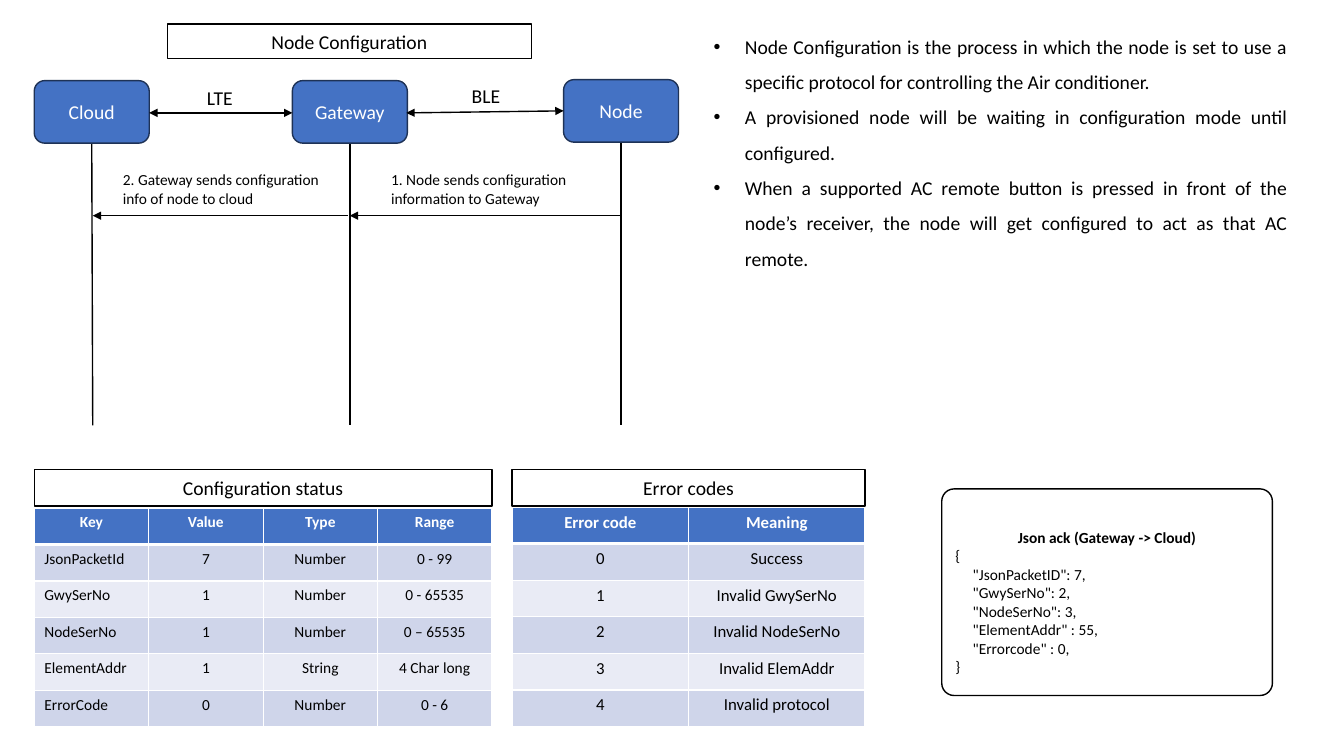
import pptx
import pptx.dml.color
import pptx.enum.shapes
import pptx.enum.text
import pptx.oxml
import pptx.oxml.ns
import pptx.util
from lxml import etree

ALIGN = pptx.enum.text.PP_ALIGN
SHAPE = pptx.enum.shapes.MSO_SHAPE
BLUE, NAVY, BLACK, WHITE = "4472C4", "1E3256", "000000", "FFFFFF"
BANDS = ["CFD5EA", "E9EBF5"]


def px(length):
    return pptx.util.Emu(length * 9144)


def rgb(value):
    return pptx.dml.color.RGBColor.from_string(value)


def add_xml(parent, tag, **attributes):
    return etree.SubElement(parent, pptx.oxml.ns.qn(tag), attributes)


class SlideBuilder:
    """Draws the slide's elements in one shared style."""

    font = "Calibri"

    def __init__(self, slide):
        self.slide = slide

    def style(self, paragraph, size, color=BLACK, align=ALIGN.LEFT, bold=False):
        paragraph.alignment = align
        paragraph.font.name = self.font
        paragraph.font.size = pptx.util.Pt(size)
        paragraph.font.bold = bold
        paragraph.font.color.rgb = rgb(color)

    def fill_text(self, frame, lines, size, bullets=False, **look):
        frame.word_wrap = True
        for index, line in enumerate(lines):
            paragraph = frame.paragraphs[0] if index == 0 else frame.add_paragraph()
            paragraph.text = line
            if bullets:
                paragraph.line_spacing = 1.5
                properties = paragraph._p.get_or_add_pPr()
                properties.set("marL", str(px(31)))
                properties.set("indent", str(px(-31)))
                add_xml(properties, "a:buFont", typeface="Arial")
                add_xml(properties, "a:buChar", char="•")
            self.style(paragraph, size, **look)

    def text(self, left, top, width, height, lines, size, **look):
        box = self.slide.shapes.add_textbox(px(left), px(top), px(width), px(height))
        self.fill_text(box.text_frame, lines, size, **look)

    def box(self, left, top, width, height, lines, size=14, kind=SHAPE.RECTANGLE,
            fill=WHITE, line=BLACK, align=ALIGN.CENTER, **look):
        box = self.slide.shapes.add_shape(kind, px(left), px(top), px(width), px(height))
        box.shadow.inherit = False
        box.fill.solid()
        box.fill.fore_color.rgb = rgb(fill)
        box.line.color.rgb = rgb(line)
        box.line.width = pptx.util.Pt(1)
        self.fill_text(box.text_frame, lines, size, align=align, **look)
        return box

    def line(self, start, end, head=False, tail=False):
        connector = self.slide.shapes.add_connector(
            pptx.enum.shapes.MSO_CONNECTOR.STRAIGHT, *map(px, start + end))
        connector.line.color.rgb = rgb(BLACK)
        connector.line.width = pptx.util.Pt(1)
        stroke = connector.line._get_or_add_ln()
        for tag, wanted in (("a:headEnd", head), ("a:tailEnd", tail)):
            if wanted:
                add_xml(stroke, tag, type="triangle")
        add_xml(connector._element.spPr, "a:effectLst")

    def borders(self, cell, row):
        properties = cell._tc.get_or_add_tcPr()
        thick = {0: "a:lnB", 1: "a:lnT"}.get(row)
        for side in ("a:lnL", "a:lnR", "a:lnT", "a:lnB"):
            points = 3 if side == thick else 1
            stroke = add_xml(properties, side, w=str(pptx.util.Pt(points)))
            add_xml(add_xml(stroke, "a:solidFill"), "a:srgbClr", val=WHITE)

    def table(self, left, top, width, height, rows, size, left_column=None):
        table = self.slide.shapes.add_table(
            len(rows), len(rows[0]), px(left), px(top), px(width), px(height)).table
        for r, values in enumerate(rows):
            for c, value in enumerate(values):
                cell = table.cell(r, c)
                header = r == 0
                self.borders(cell, r)
                cell.fill.solid()
                cell.fill.fore_color.rgb = rgb(BLUE if header else BANDS[(r - 1) % 2])
                align = ALIGN.LEFT if c == left_column and not header else ALIGN.CENTER
                self.fill_text(cell.text_frame, [value], size, align=align, bold=header,
                               color=WHITE if header else BLACK)


def main():
    deck = pptx.Presentation()
    deck.slide_width, deck.slide_height = px(1333), px(750)
    page = SlideBuilder(deck.slides.add_slide(deck.slide_layouts[6]))

    page.box(166, 24, 361, 34, ["Node Configuration"])
    for device, left, top, foot in (
            ("Cloud", 34, 80, 92), ("Gateway", 290, 80, 347), ("Node", 559, 79, 616)):
        page.line((left + 57, top + 62), (foot, 422))
        page.box(left, top, 114, 62, [device], kind=SHAPE.ROUNDED_RECTANGLE,
                 fill=BLUE, line=NAVY, color=WHITE)

    for link, start, end, left, top in (
            ("LTE", (148, 112), (290, 112), 176, 80),
            ("BLE", (403, 112), (559, 110), 440, 78)):
        page.line(start, end, head=True, tail=True)
        page.text(left, top, 84, 34, [link], 14, align=ALIGN.CENTER)

    for message, sender, receiver, left in (
            ("1. Node sends configuration information to Gateway", 616, 347, 378),
            ("2. Gateway sends configuration info of node to cloud", 345, 92, 112)):
        page.line((sender, 214), (receiver, 214), tail=True)
        page.text(left, 164, 229, 47, [message], 11)

    page.text(698, 18, 589, 254, [
        "Node Configuration is the process in which the node is set to use a specific "
        "protocol for controlling the Air conditioner.",
        "A provisioned node will be waiting in configuration mode until configured.",
        "When a supported AC remote button is pressed in front of the node’s receiver, "
        "the node will get configured to act as that AC remote.",
    ], 14, bullets=True, align=ALIGN.JUSTIFY)

    page.table(34, 504, 454, 217, [
        ("Key", "Value", "Type", "Range"),
        ("JsonPacketId", "7", "Number", "0 - 99"),
        ("GwySerNo", "1", "Number", "0 - 65535"),
        ("NodeSerNo", "1", "Number", "0 – 65535"),
        ("ElementAddr", "1", "String", "4 Char long"),
        ("ErrorCode", "0", "Number", "0 - 6"),
    ], 11, left_column=0)
    page.box(34, 466, 454, 36, ["Configuration status"])

    page.table(508, 503, 350, 218, [
        ("Error code", "Meaning"),
        ("0", "Success"),
        ("1", "Invalid GwySerNo"),
        ("2", "Invalid NodeSerNo"),
        ("3", "Invalid ElemAddr"),
        ("4", "Invalid protocol"),
    ], 12)
    page.box(508, 466, 350, 36, ["Error codes"])

    acknowledgement = page.box(934, 485, 328, 205, [
        "Json ack (Gateway -> Cloud)",
        "{",
        '     "JsonPacketID": 7,',
        '     "GwySerNo": 2,',
        '     "NodeSerNo": 3,',
        '     "ElementAddr" : 55,',
        '     "Errorcode" : 0,',
        "}",
    ], 11, kind=SHAPE.ROUNDED_RECTANGLE, align=ALIGN.JUSTIFY)
    acknowledgement.adjustments[0] = 0.06
    acknowledgement.text_frame.margin_top = px(24)
    page.style(acknowledgement.text_frame.paragraphs[0], 11, align=ALIGN.CENTER, bold=True)

    deck.save("out.pptx")


if __name__ == "__main__":
    main()
